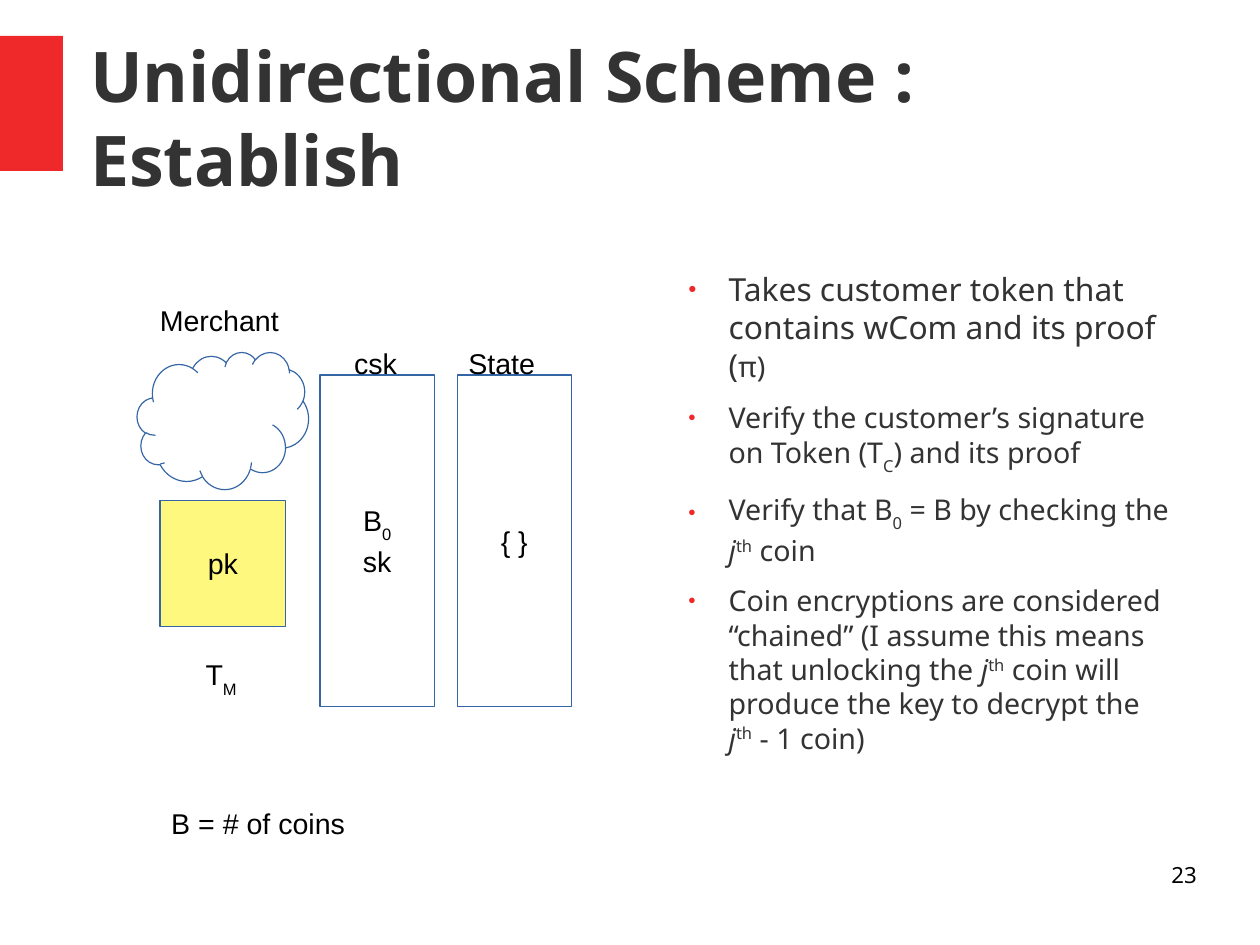
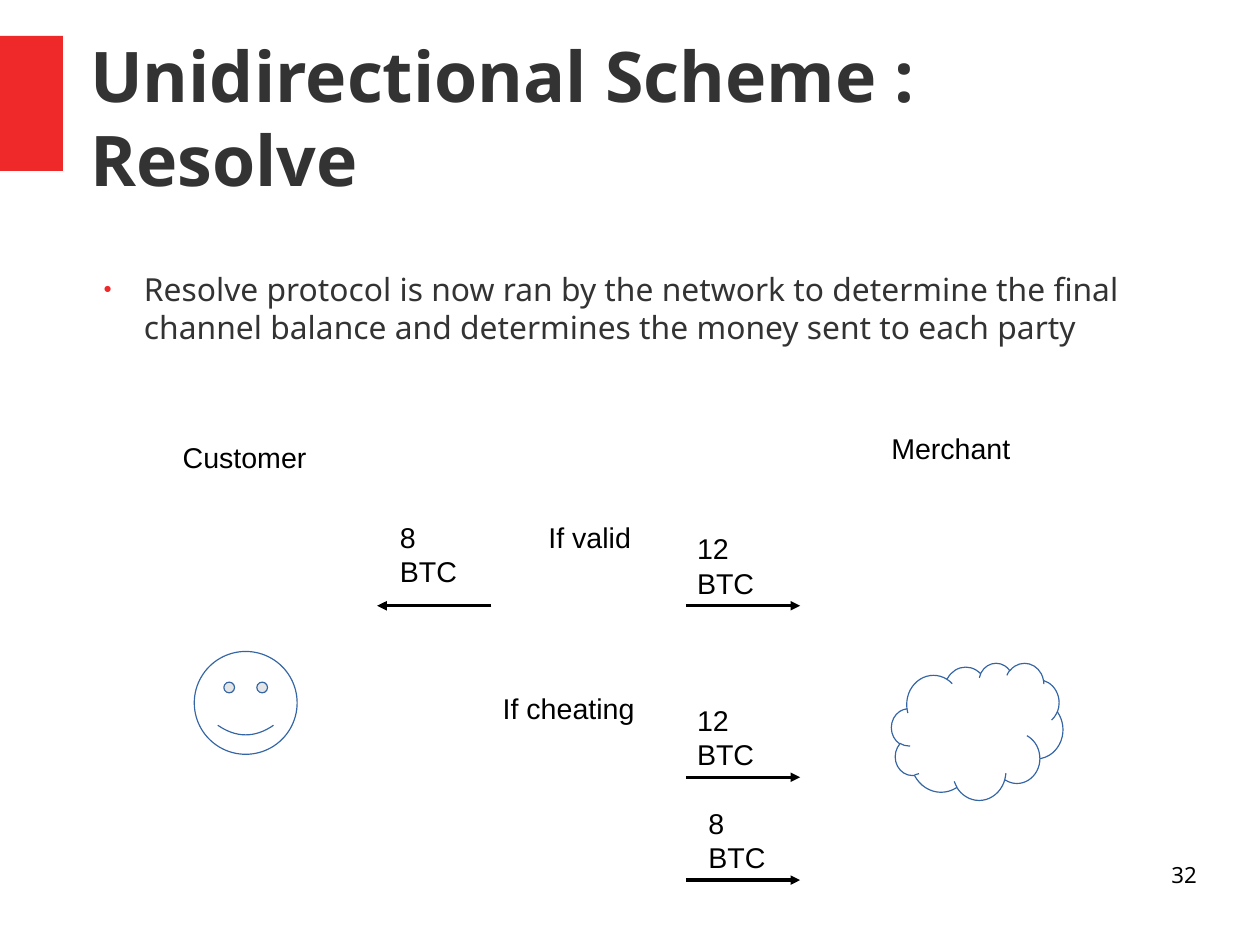
import pptx
import pptx.util
import pptx.dml.color
import pptx.enum.shapes
import pptx.enum.text
import pptx.oxml.ns
import pptx.oxml.xmlchemy

Pt = pptx.util.Pt
SHAPE = pptx.enum.shapes.MSO_SHAPE
ALIGN = pptx.enum.text.PP_ALIGN
ANCHOR = pptx.enum.text.MSO_ANCHOR

HUES = {"red": "EF2929", "ink": "333333", "black": "000000",
        "white": "FFFFFF", "gold": "FFF200", "blue": "3465A4"}
SANS, PLAIN = "Noto Sans", "Arial"
SUB, SUP = {"base": -33000}, {"base": 33000}
SLANT, BIG = {"slant": True}, {"size": 20}
JTH = [("j", SLANT), ("th", SUP)]


def hue(name):
    return pptx.dml.color.RGBColor.from_string(HUES[name])


def node(tag, **attrs):
    item = pptx.oxml.xmlchemy.OxmlElement(tag)
    for key, value in attrs.items():
        item.set(key, str(value))
    return item


def find(item, tag):
    return item.element.spPr.find(".//" + pptx.oxml.ns.qn(tag))


def place(shape, box):
    shape.left, shape.top, shape.width, shape.height = map(Pt, box)


def write(frame, paras, size=18, font=PLAIN, color="black", bold=False,
          align=ALIGN.LEFT, anchor=ANCHOR.TOP, inset=(7.2, 3.6),
          wrap=True, bullet=False):
    """Fill a frame; a paragraph is a list of strings or (string, format)."""
    frame.auto_size = pptx.enum.text.MSO_AUTO_SIZE.NONE
    frame.word_wrap, frame.vertical_anchor = wrap, anchor
    frame.margin_left = frame.margin_right = Pt(inset[0])
    frame.margin_top = frame.margin_bottom = Pt(inset[1])
    for i, runs in enumerate(paras):
        para = frame.add_paragraph() if i else frame.paragraphs[0]
        para.alignment = align
        para.space_before = Pt(0)
        if bullet:
            mark(para)
        for part in runs:
            text, style = (part, {}) if isinstance(part, str) else part
            run = para.add_run()
            run.text = text
            run.font.name, run.font.bold = font, bold
            run.font.size = Pt(style.get("size", size))
            run.font.italic = style.get("slant", False)
            run.font.color.rgb = hue(color)
            if "base" in style:
                run._r.get_or_add_rPr().set("baseline", str(style["base"]))


def mark(para):
    """Give a paragraph its small red bullet and hanging indent."""
    para.space_after = Pt(10.1)
    props = para._p.get_or_add_pPr()
    props.set("marL", str(Pt(34)))
    props.set("indent", str(-Pt(25.5)))
    tint = node("a:buClr")
    tint.append(node("a:srgbClr", val=HUES["red"]))
    props.extend([tint, node("a:buSzPct", val=45000),
                  node("a:buChar", char="●")])


def label(slide, box, *runs, **style):
    item = slide.shapes.add_textbox(*map(Pt, box))
    write(item.text_frame, [runs], **style)


def figure(slide, kind, box, paras=(), fill="white"):
    """Add a half-transparent shape with a hairline edge."""
    item = slide.shapes.add_shape(kind, *map(Pt, box))
    item.shadow.inherit = False
    item.fill.solid()
    item.fill.fore_color.rgb = hue(fill)
    find(item, "a:srgbClr").append(node("a:alpha", val=50000))
    item.line.color.rgb = hue("blue")
    item.line.width = Pt(0)
    write(item.text_frame, paras, align=ALIGN.CENTER,
          anchor=ANCHOR.MIDDLE, wrap=False)


def cloud(slide, left, top):
    figure(slide, SHAPE.CLOUD, (left, top, 108, 86.4))


def arrow(slide, start, end, y):
    item = slide.shapes.add_connector(
        pptx.enum.shapes.MSO_CONNECTOR.STRAIGHT, *map(Pt, (start, y, end, y)))
    item.line.color.rgb = hue("black")
    item.line.width = Pt(0)
    find(item, "a:ln").append(node("a:tailEnd", type="triangle"))
    item.element.spPr.append(node("a:effectLst"))


def band(slide):
    """Put the red band on the slide's layout, behind all its slides."""
    item = slide.shapes.add_shape(SHAPE.RECTANGLE,
                                  *map(Pt, (0, 22.6, 39.6, 85)))
    item.shadow.inherit = False
    item.fill.solid()
    item.fill.fore_color.rgb = hue("red")
    item.line.fill.background()
    slide.slide_layout.shapes.element.append(item.element)


def page(deck, title, number, left, width, points):
    """Add a slide with title, bulleted body and page number."""
    slide = deck.slides.add_slide(deck.slide_layouts[1])
    head, body = slide.placeholders
    place(head, (56.7, 13.6, 697, 120))
    write(head.text_frame, [[title]], size=44, font=SANS, color="ink",
          bold=True, anchor=ANCHOR.MIDDLE, inset=(0, 0))
    place(body, (left, 170, width, 345.6))
    write(body.text_frame, points, font=SANS, color="ink",
          inset=(0, 0), bullet=True)
    label(slide, (569, 542.3, 185, 41), number, size=14, font=SANS,
          align=ALIGN.RIGHT, inset=(0, 0))
    return slide


def establish(deck):
    slide = page(deck, "Unidirectional Scheme : Establish", "23", 425, 312.5, [
        [("Takes customer token that contains wCom and its proof (", BIG),
         "π)"],
        ["Verify the customer’s signature on Token (T", ("C", SUB),
         ") and its proof"],
        ["Verify that B", ("0", SUB), " = B by checking the ", *JTH, " coin"],
        ["Coin encryptions are considered “chained” (I assume this means "
         "that unlocking the ", *JTH,
         " coin will produce the key to decrypt the ", *JTH, " - 1 coin)"],
    ])
    cloud(slide, 86.4, 221.8)
    figure(slide, SHAPE.RECTANGLE, (100.8, 315.4, 79.2, 79.2),
           [["pk"]], "gold")
    stores = [[["B", ("0", SUB)], ["sk"]], [["{ }"]]]
    for i, paras in enumerate(stores):
        figure(slide, SHAPE.RECTANGLE,
               (201.6 + i * 86.4, 236.2, 72, 208.8), paras)
    label(slide, (216, 214.6, 43.2, 28.8), "csk")
    label(slide, (288, 214.6, 72, 28.8), "State")
    label(slide, (93.6, 187.2, 165.6, 27.4), "Merchant")
    label(slide, (122.4, 410.4, 43.2, 36), "T", ("M", SUB))
    label(slide, (100.8, 504, 309.6, 27.4), "B = # of coins")
    return slide


def resolve(deck):
    slide = page(deck, "Unidirectional Scheme : Resolve", "32", 56.7, 680.4, [
        [("Resolve protocol is now ran by the network to determine the final "
          "channel balance and determines the money sent to each party", BIG)],
    ])
    figure(slide, SHAPE.SMILEY_FACE, (122.4, 410.4, 64.8, 64.8))
    cloud(slide, 561.6, 417.6)
    label(slide, (108, 273.6, 165.6, 27.4), "Customer")
    label(slide, (554.4, 267.8, 165.6, 27.4), "Merchant")
    label(slide, (338.4, 324, 72, 27.4), "If valid")
    label(slide, (309.6, 432, 100.8, 36), "If cheating")
    flows = [("8 BTC", 244.8, 324, 309.6, 237.6, 381.6),
             ("12 BTC", 432, 331.2, 432, 504, 381.6),
             ("12 BTC", 432, 439.2, 432, 504, 489.6),
             ("8 BTC", 439.2, 504, 432, 504, 554.4)]
    for coins, left, top, start, end, y in flows:
        label(slide, (left, top, 64.8, 47.5), coins)
        arrow(slide, start, end, y)


def main():
    deck = pptx.Presentation()
    deck.slide_width, deck.slide_height = Pt(793.7), Pt(595.3)
    band(establish(deck))
    resolve(deck)
    deck.save("out.pptx")


if __name__ == "__main__":
    main()
